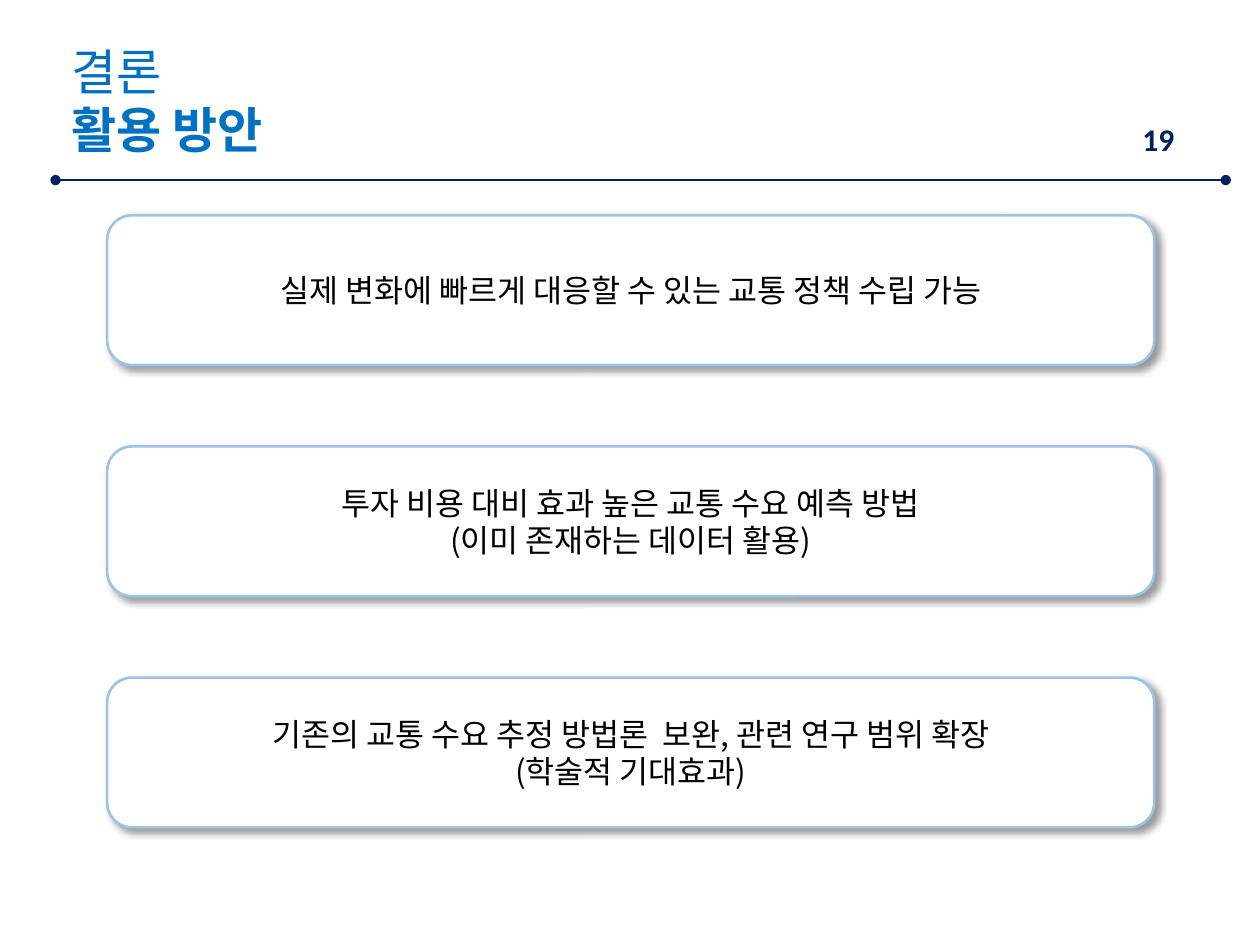
"""Build the conclusion slide with three framed key points."""
from dataclasses import dataclass

from lxml import etree
from pptx import Presentation
from pptx.dml.color import RGBColor
from pptx.enum.shapes import MSO_CONNECTOR, MSO_SHAPE
from pptx.enum.text import MSO_ANCHOR, PP_ALIGN
from pptx.oxml.ns import qn
from pptx.util import Cm, Pt

ROUNDED = MSO_SHAPE.ROUNDED_RECTANGLE
STRAIGHT = MSO_CONNECTOR.STRAIGHT
CENTER = PP_ALIGN.CENTER
LEFT = PP_ALIGN.LEFT
MIDDLE = MSO_ANCHOR.MIDDLE


@dataclass(frozen=True)
class Theme:
    title: RGBColor = RGBColor(0x00, 0x70, 0xC0)
    navy: RGBColor = RGBColor(0x00, 0x20, 0x60)
    border: RGBColor = RGBColor(0x9D, 0xC3, 0xE6)
    white: RGBColor = RGBColor(0xFF, 0xFF, 0xFF)
    black: RGBColor = RGBColor(0x00, 0x00, 0x00)
    latin: str = "Calibri"
    korean: str = "Noto Sans CJK KR"
    title_size: Pt = Pt(28)
    body_size: Pt = Pt(18)
    title_leading: Pt = Pt(33.2)
    body_leading: Pt = Pt(21.5)


THEME = Theme()
POINTS = [
    ["실제 변화에 빠르게 대응할 수 있는 교통 정책 수립 가능"],
    ["투자 비용 대비 효과 높은 교통 수요 예측 방법", "(이미 존재하는 데이터 활용)"],
    ["기존의 교통 수요 추정 방법론  보완, 관련 연구 범위 확장", "(학술적 기대효과)"],
]


def add_lines(tf, lines, font, size, color, leading, align=LEFT):
    for i, (text, bold) in enumerate(lines):
        p = tf.paragraphs[0] if i == 0 else tf.add_paragraph()
        p.alignment = align
        p.line_spacing = leading
        r = p.add_run()
        r.text = text
        r.font.name = font
        r.font.size = size
        r.font.bold = bold
        r.font.color.rgb = color
        ea = etree.SubElement(r.font._element, qn("a:ea"))
        ea.set("typeface", THEME.korean)


def add_shadow(sp):
    sp.shadow.inherit = False
    effects = sp._element.spPr.find(qn("a:effectLst"))
    shadow = etree.SubElement(
        effects, qn("a:outerShdw"), blurRad=str(Pt(4)), dist=str(Pt(3)),
        dir="2700000", algn="tl", rotWithShape="0")
    color = etree.SubElement(shadow, qn("a:srgbClr"), val=str(THEME.black))
    etree.SubElement(color, qn("a:alpha"), val="40000")


def add_point(s, top, lines):
    sp = s.shapes.add_shape(ROUNDED, Cm(2.16), top, Cm(21.11), Cm(3.02))
    sp.fill.solid()
    sp.fill.fore_color.rgb = THEME.white
    sp.line.color.rgb = THEME.border
    sp.line.width = Pt(1.5)
    add_shadow(sp)
    tf = sp.text_frame
    tf.word_wrap = True
    tf.vertical_anchor = MIDDLE
    add_lines(tf, [(line, False) for line in lines], THEME.korean,
              THEME.body_size, THEME.black, THEME.body_leading, CENTER)


def add_rule(s, left, right, y):
    line = s.shapes.add_connector(STRAIGHT, left, y, right, y)
    line.line.color.rgb = THEME.navy
    line.line.width = Pt(1.25)
    ln = line.line._get_or_add_ln()
    for end in ("a:headEnd", "a:tailEnd"):
        etree.SubElement(ln, qn(end), type="oval")
    etree.SubElement(line._element.spPr, qn("a:effectLst"))


def add_text(s, left, top, width, height, lines, size, color, leading):
    tf = s.shapes.add_textbox(left, top, width, height).text_frame
    tf.word_wrap = True
    add_lines(tf, lines, THEME.latin, size, color, leading)
    return tf


def main():
    prs = Presentation()
    prs.slide_width, prs.slide_height = Cm(25.4), Cm(19.05)
    s = prs.slides.add_slide(prs.slide_layouts[6])
    for i, lines in enumerate(POINTS):
        add_point(s, Cm(4.34 + 4.66 * i), lines)
    add_rule(s, Cm(1.12), Cm(24.71), Cm(3.63))
    add_text(s, Cm(22.78), Cm(2.29), Cm(1.42), Cm(1.02),
             [("19", True)], THEME.body_size, THEME.navy, 1.0)
    tf = add_text(s, Cm(1.19), Cm(0.66), Cm(8.66), Cm(2.64),
                  [("결론", False), ("활용 방안", True)],
                  THEME.title_size, THEME.title, THEME.title_leading)
    tf.margin_top = Cm(0.2)
    prs.save("out.pptx")


if __name__ == "__main__":
    main()
